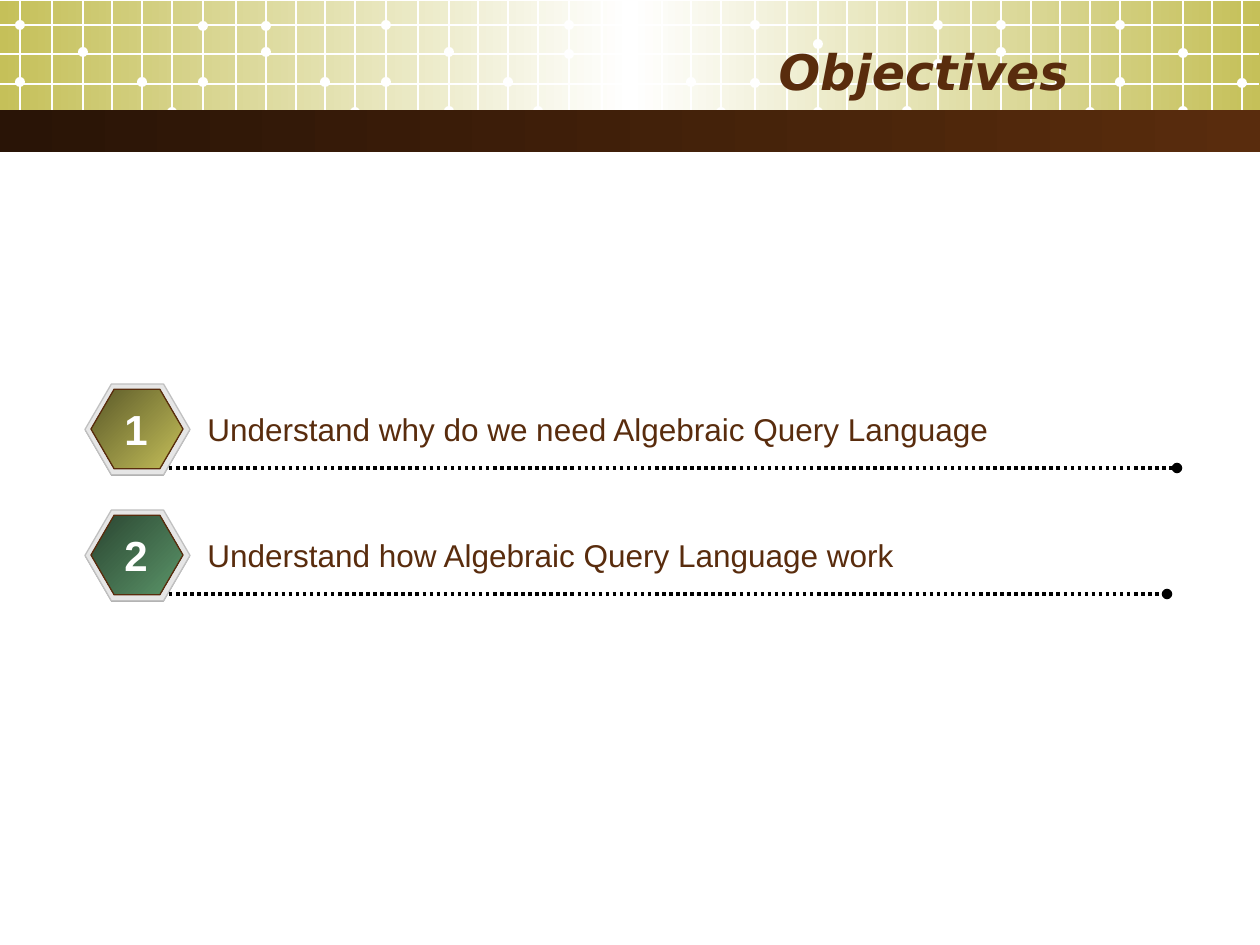
from lxml import etree
from pptx import Presentation
from pptx.dml.color import RGBColor
from pptx.enum.dml import MSO_LINE
from pptx.enum.shapes import MSO_CONNECTOR, MSO_SHAPE
from pptx.enum.text import MSO_ANCHOR, MSO_AUTO_SIZE, PP_ALIGN
from pptx.oxml.ns import qn
from pptx.util import Emu, Pt

RECT, OVAL, HEXAGON = MSO_SHAPE.RECTANGLE, MSO_SHAPE.OVAL, MSO_SHAPE.HEXAGON
STRAIGHT = MSO_CONNECTOR.STRAIGHT
DOTTED = MSO_LINE.ROUND_DOT
LEFT, CENTER, RIGHT = PP_ALIGN.LEFT, PP_ALIGN.CENTER, PP_ALIGN.RIGHT
TOP, MIDDLE = MSO_ANCHOR.TOP, MSO_ANCHOR.MIDDLE
FIT, NO_FIT = MSO_AUTO_SIZE.SHAPE_TO_FIT_TEXT, MSO_AUTO_SIZE.NONE

BROWN, WHITE, OLIVE = "592C0D", "FFFFFF", "C5C059"
COLUMNS = [0, 32, 63, 92, 122, 152, 183, 216, 246, 276, 305, 335]
DOT_COLUMNS = [0, 0, 2, 2, 4, 5, 6, 6, 8, 8, 10, 11]
TILES = [
    (20, [82, 25, 52, 115, 82, 112, 82, 26, 52, 26, 82, 112]),
    (386, [82, 25, 52, 111, 82, 111, 54, 25, 53, 25, 82, 112]),
    (755, [83, 25, 44, 112, 81, 111, 64, 25, 52, 25, 82, 112]),
    (1120, [82, 25, 53, 111, 83]),
]
GRID_ROWS = [25, 54, 84, 112]
WIDTH, HEIGHT, DOT, ROW_STEP = 1260, 945, 10, 126
OBJECTIVES = [
    ("Understand why do we need Algebraic Query Language", 921, 1177, ["5B5929", OLIVE]),
    ("Understand how Algebraic Query Language work", 811, 1167, ["2A4531", "5B9569"]),
]


def px(n):
    return Emu(round(n * 914400 / 126))


def rgb(value):
    return RGBColor.from_string(value)


def write(tf, text, size=18, font="Arial", color=BROWN, bold=False, italic=False, align=LEFT):
    p = tf.paragraphs[0]
    p.alignment = align
    r = p.add_run()
    r.text = text
    r.font.size = Pt(size)
    r.font.name = font
    r.font.bold = bold
    r.font.italic = italic
    r.font.color.rgb = rgb(color)


class Deck:
    def __init__(self):
        self.prs = Presentation()
        self.prs.slide_width, self.prs.slide_height = px(WIDTH), px(HEIGHT)
        self.s = self.prs.slides.add_slide(self.prs.slide_layouts[6])

    def shape(self, kind, x, y, w, h, fill=None, gradient=None, angle=0, line=None):
        sp = self.s.shapes.add_shape(kind, px(x), px(y), px(w), px(h))
        sp.shadow.inherit = False
        if gradient:
            self.gradient(sp, gradient, angle)
        else:
            sp.fill.solid()
            sp.fill.fore_color.rgb = rgb(fill)
        if line:
            sp.line.color.rgb = rgb(line)
            sp.line.width = Pt(0.75)
        else:
            sp.line.fill.background()
        return sp

    def gradient(self, sp, colors, angle):
        sp.fill.gradient()
        sp.fill.gradient_angle = -angle % 360
        stops = sp._element.spPr.find(".//" + qn("a:gsLst"))
        for stop in list(stops):
            stops.remove(stop)
        for i, color in enumerate(colors):
            pos = 100000 * i // (len(colors) - 1)
            stop = etree.SubElement(stops, qn("a:gs"), pos=str(pos))
            etree.SubElement(stop, qn("a:srgbClr"), val=color)

    def hexagon(self, x, y, w, h, **style):
        sp = self.shape(HEXAGON, x, y, w, h, **style)
        sp.adjustments[0], sp.adjustments[1] = 0.29, 1.15

    def line(self, x1, y1, x2, y2, color=WHITE, width=0.75, dash=None, tail=None):
        c = self.s.shapes.add_connector(STRAIGHT, px(x1), px(y1), px(x2), px(y2))
        c.line.color.rgb = rgb(color)
        c.line.width = Pt(width)
        if dash:
            c.line.dash_style = dash
        if tail:
            etree.SubElement(c.line._get_or_add_ln(), qn("a:tailEnd"), type=tail)
        etree.SubElement(c._element.spPr, qn("a:effectLst"))

    def text(self, x, y, w, h, text, anchor=TOP, wrap=True, fit=FIT, **style):
        tf = self.s.shapes.add_textbox(px(x), px(y), px(w), px(h)).text_frame
        tf.word_wrap = wrap
        tf.auto_size = fit
        tf.vertical_anchor = anchor
        write(tf, text, **style)

    def header(self):
        self.shape(RECT, 0, 1, WIDTH, 129, gradient=[OLIVE, WHITE, OLIVE])
        for left, heights in TILES:
            for column in COLUMNS:
                if left + column < WIDTH:
                    self.line(left + column, 0, left + column, 139)
            for i, y in zip(DOT_COLUMNS, heights):
                x = left + COLUMNS[i]
                self.shape(OVAL, x - DOT / 2, y - DOT / 2, DOT, DOT, fill=WHITE)
        for y in GRID_ROWS:
            self.line(0, y, WIDTH - 1, y)
        self.shape(RECT, 0, 110, WIDTH, 42, gradient=["291406", BROWN])
        self.text(63, 32, 1018, 78, "Objectives", anchor=MIDDLE, fit=NO_FIT, size=28,
                  font="DejaVu Sans", bold=True, italic=True, align=RIGHT)

    def objective(self, number, text, width, line_end, colors):
        y = 384 + (number - 1) * ROW_STEP
        self.hexagon(85, y + 1, 105, 91, fill="808080")
        self.hexagon(85, y, 105, 91, fill="E6E6E6", line="C0C0C0")
        self.hexagon(91, y + 5, 92, 80, gradient=colors, angle=45, line=BROWN)
        self.line(169, y + 84, line_end, y + 84, color="000000", width=2,
                  dash=DOTTED, tail="oval")
        self.text(195, y + 20, width, 51, text)
        self.text(112, y + 13, 48, 63, str(number), wrap=False, size=24,
                  color=WHITE, bold=True, align=CENTER)


def main():
    deck = Deck()
    deck.header()
    for number, item in enumerate(OBJECTIVES, 1):
        deck.objective(number, *item)
    deck.prs.save("out.pptx")


if __name__ == "__main__":
    main()
